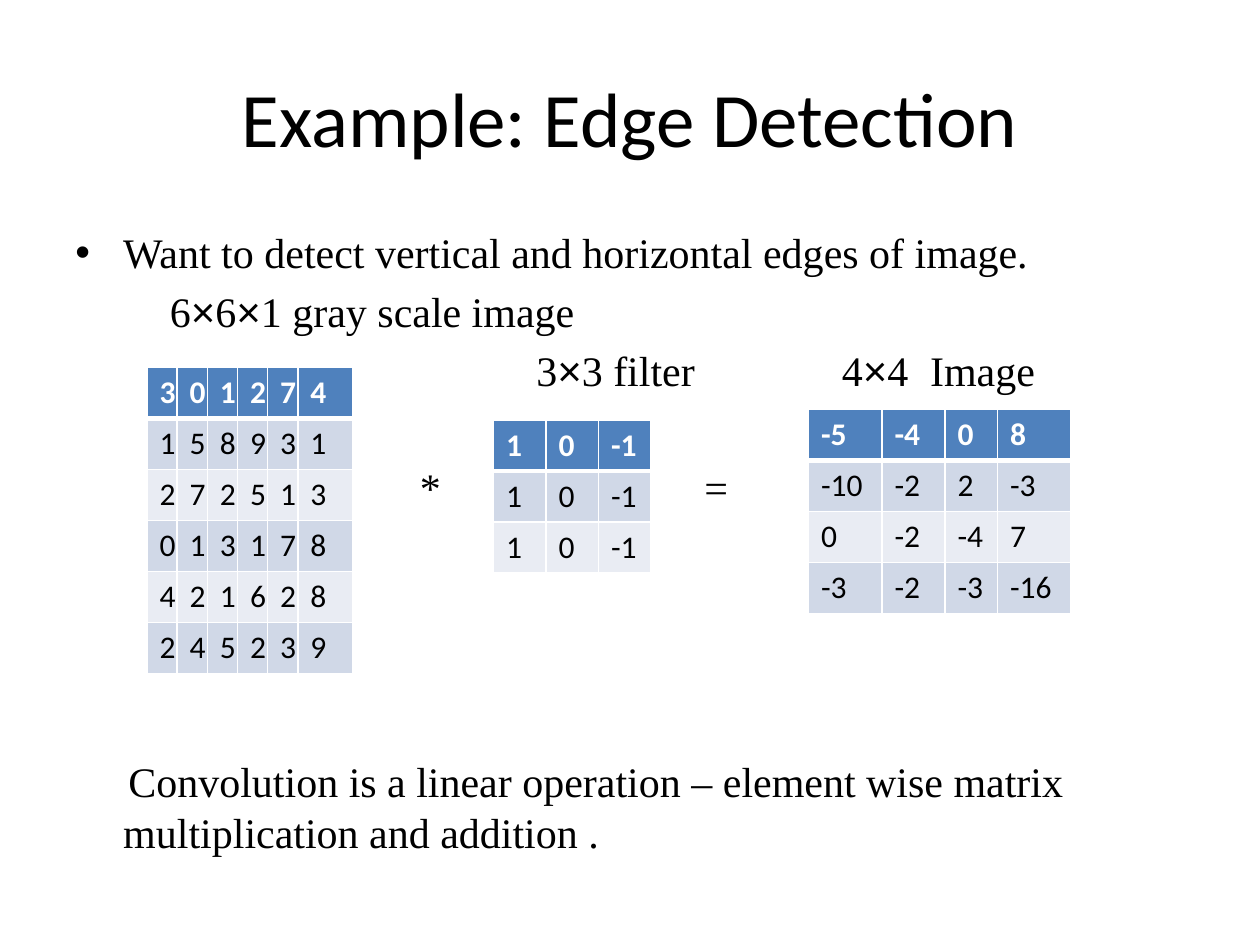
from dataclasses import dataclass
from typing import Optional

from pptx import Presentation
from pptx.dml.color import RGBColor
from pptx.enum.text import MSO_ANCHOR as Anchor, PP_ALIGN as Align
from pptx.oxml.ns import qn
from pptx.oxml.xmlchemy import OxmlElement as Element
from pptx.util import Emu, Inches, Pt

GRID_COLUMNS, GRID_ROWS = 120, 90
BODY_TOP = 21
BODY_SIZE = 24
LINE_HEIGHT = 28.8
PARA_GAP = 4.8
LINE_PITCH = LINE_HEIGHT + PARA_GAP
LINE_ROWS = 5.6  # the line pitch in grid rows
ROW_HEIGHT = 4.86
BLACK, WHITE = "000000", "FFFFFF"
HEADER_FILL = "4F81BD"
BAND_FILLS = ("D0D8E7", "E9ECF3")
THIN, THICK = 0.96, 3


@dataclass
class Line:
    """One body paragraph; margin and first-line indent are in inches."""
    text: str
    margin: float = 0
    indent: float = 0
    skipped_lines: int = 0
    bullet: Optional[str] = None


@dataclass
class Label:
    """A short text on a body line, placed and sized in grid units."""
    text: str
    left: float
    width: float
    line_index: int


@dataclass
class Matrix:
    """A table of numbers, placed and sized in grid units."""
    left: float
    top: float
    widths: tuple[float, ...]
    rows: tuple[str, ...]


LINES = (
    Line("Want to detect vertical and horizontal edges of image.", 0.38, -0.38, bullet="•"),
    Line("6×6×1 gray scale image", 0.75),
    Line("Convolution is a linear operation – element wise matrix "
         "multiplication and addition .", 0.38, 0.04, skipped_lines=7),
)

LABELS = (
    Label("3×3 filter", 49.9, 19, 2),
    Label("4×4", 79, 9, 2),
    Label("Image", 87.4, 13, 2),
    Label("*", 38.8, 5, 4),
    Label("=", 65.9, 5, 4),
)

MATRICES = (
    Matrix(14, 35, (2.87,) * 5 + (5.25,),
           ("3 0 1 2 7 4", "1 5 8 9 3 1", "2 7 2 5 1 3",
            "0 1 3 1 7 8", "4 2 1 6 2 8", "2 4 5 2 3 9")),
    Matrix(47, 40, (5, 5, 5), ("1 0 -1",) * 3),
    Matrix(77, 39, (7, 6, 5, 7),
           ("-5 -4 0 8", "-10 -2 2 -3", "0 -2 -4 7", "-3 -2 -3 -16")),
)

deck = Presentation()
deck.slide_width, deck.slide_height = Inches(10), Inches(7.5)
page = deck.slides.add_slide(deck.slide_layouts[6])


def across(columns: float) -> Emu:
    return Emu(round(deck.slide_width * columns / GRID_COLUMNS))


def down(rows: float) -> Emu:
    return Emu(round(deck.slide_height * rows / GRID_ROWS))


def color(code: str) -> RGBColor:
    return RGBColor.from_string(code)


def add_run(para, text: str, font: str, size: float, code: str = BLACK, bold: bool = False) -> None:
    run = para.add_run()
    run.text = text
    run.font.name, run.font.size, run.font.bold = font, Pt(size), bold
    run.font.color.rgb = color(code)


def add_box(left: float, top: float, width: float, height: float, anchor: Anchor):
    box = page.shapes.add_textbox(across(left), down(top), across(width), down(height))
    frame = box.text_frame
    frame.word_wrap, frame.vertical_anchor = True, anchor
    return frame


def format_line(para, line: Line) -> None:
    para.line_spacing = Pt(LINE_HEIGHT)
    para.space_before = Pt(PARA_GAP + line.skipped_lines * LINE_PITCH)
    props = para._p.get_or_add_pPr()
    props.set("marL", str(Inches(line.margin)))
    props.set("indent", str(Inches(line.indent)))
    if line.bullet:
        font = Element("a:buFont")
        font.set("typeface", "Arial")
        bullet = Element("a:buChar")
        bullet.set("char", line.bullet)
        props.extend((font, bullet))
    else:
        props.append(Element("a:buNone"))


def add_line(para, line: Line) -> None:
    """Write the text run by run, with the times signs in Arial."""
    format_line(para, line)
    for index, part in enumerate(line.text.split("×")):
        if index:
            add_run(para, "×", "Arial", BODY_SIZE)
        add_run(para, part, "Times New Roman", BODY_SIZE)


def add_label(label: Label) -> None:
    top = BODY_TOP + label.line_index * LINE_ROWS
    frame = add_box(label.left, top, label.width, LINE_ROWS + 1, Anchor.TOP)
    add_line(frame.paragraphs[0], Line(label.text))


def set_border(cell, side: str, width: float) -> None:
    border = Element(f"a:ln{side}")
    border.set("w", str(Pt(width)))
    fill = Element("a:solidFill")
    value = Element("a:srgbClr")
    value.set("val", WHITE)
    fill.append(value)
    border.append(fill)
    cell._tc.get_or_add_tcPr().append(border)


def fill_cell(cell, text: str, row: int) -> None:
    header = row == 0
    widths = {"L": THIN, "R": THIN,
              "T": THICK if row == 1 else THIN,
              "B": THICK if header else THIN}
    for side, width in widths.items():
        set_border(cell, side, width)
    cell.fill.solid()
    cell.fill.fore_color.rgb = color(HEADER_FILL if header else BAND_FILLS[(row - 1) % 2])
    add_run(cell.text_frame.paragraphs[0], text, "Calibri", 18,
            WHITE if header else BLACK, header)


def add_matrix(matrix: Matrix) -> None:
    table = page.shapes.add_table(
        len(matrix.rows), len(matrix.widths), across(matrix.left), down(matrix.top),
        across(sum(matrix.widths)), down(ROW_HEIGHT * len(matrix.rows))).table
    for column, width in zip(table.columns, matrix.widths):
        column.width = across(width)
    for row, values in enumerate(matrix.rows):
        table.rows[row].height = down(ROW_HEIGHT)
        for column, value in enumerate(values.split()):
            fill_cell(table.cell(row, column), value, row)


title = add_box(6, 3.6, 108, 15, Anchor.MIDDLE).paragraphs[0]
title.alignment = Align.CENTER
add_run(title, "Example: Edge Detection", "Calibri", 44)

body = add_box(6, BODY_TOP, 108, 59.4, Anchor.TOP)
for number, body_line in enumerate(LINES):
    add_line(body.add_paragraph() if number else body.paragraphs[0], body_line)

for tag in LABELS:
    add_label(tag)

for grid in MATRICES:
    add_matrix(grid)

deck.save("out.pptx")
